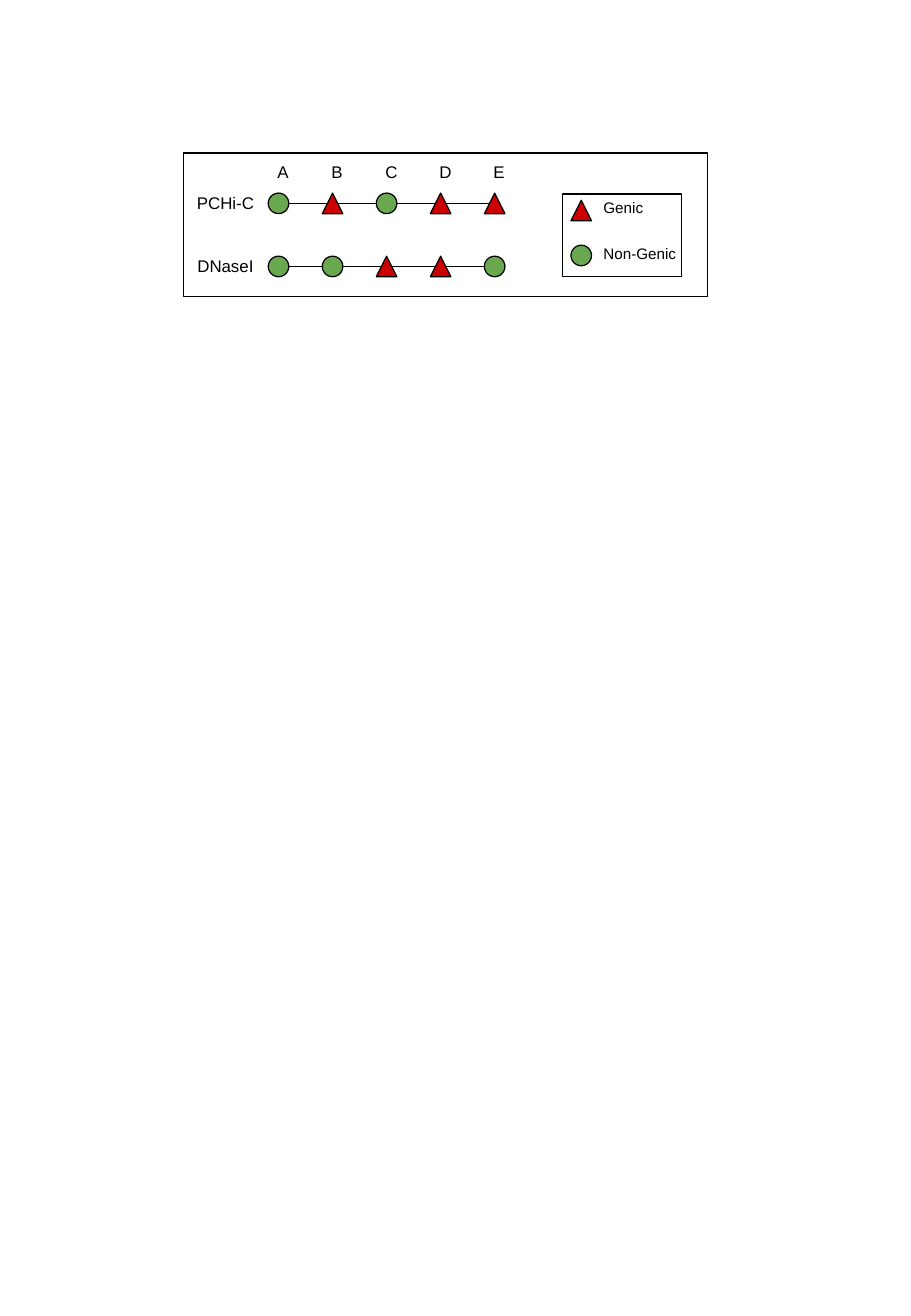
import dataclasses
import itertools

import pptx
import pptx.dml.color
import pptx.enum.shapes
import pptx.enum.text
import pptx.oxml
import pptx.shapes.autoshape
import pptx.slide
import pptx.util

Cm = pptx.util.Cm
Pt = pptx.util.Pt
RGBColor = pptx.dml.color.RGBColor
Preset = pptx.enum.shapes.MSO_SHAPE
Align = pptx.enum.text.PP_ALIGN
Anchor = pptx.enum.text.MSO_ANCHOR

BLACK = RGBColor(0x00, 0x00, 0x00)
RED = RGBColor(0xCC, 0x00, 0x00)
GREEN = RGBColor(0x6A, 0xA8, 0x4F)
LINE_WIDTH = Pt(0.75)

# Grid of fragments, in cm
MARKER_SIZE = 0.43
FIRST_MARKER_LEFT = 5.61
FRAGMENT_STEP = 1.13
LETTER_OFFSET = -0.06


@dataclasses.dataclass(frozen=True)
class Box:
    left: float
    top: float
    width: float
    height: float

    def lengths(self) -> list[pptx.util.Length]:
        return [Cm(value) for value in dataclasses.astuple(self)]


@dataclasses.dataclass(frozen=True)
class MarkerKind:
    preset: Preset
    color: RGBColor
    side_inset: float  # gap between the box and the outline at mid height


@dataclasses.dataclass(frozen=True)
class Track:
    label: str
    top: float
    kinds: list[MarkerKind]


@dataclasses.dataclass(frozen=True)
class LegendEntry:
    label: str
    kind: MarkerKind
    marker_top: float
    text_box: Box


GENIC = MarkerKind(Preset.ISOSCELES_TRIANGLE, RED, MARKER_SIZE / 4)
NON_GENIC = MarkerKind(Preset.OVAL, GREEN, 0)

FRAGMENTS = "ABCDE"
TRACKS = [
    Track("PCHi-C", 4.04, [NON_GENIC, GENIC, NON_GENIC, GENIC, GENIC]),
    Track("DNaseI", 5.36, [NON_GENIC, NON_GENIC, GENIC, GENIC, NON_GENIC]),
]
LEGEND_MARKER_LEFT = 11.94
LEGEND = [
    LegendEntry("Genic", GENIC, 4.19, Box(12.37, 3.96, 1.75, 0.71)),
    LegendEntry("Non-Genic", NON_GENIC, 5.13, Box(12.37, 4.93, 2.11, 0.71)),
]

FRAME_FORMAT = {
    "word_wrap": True,
    "margin_left": Cm(0.25),
    "margin_top": Cm(0.25),
    "margin_right": Cm(0.25),
    "margin_bottom": Cm(0.25),
}


def add_outlined(slide: pptx.slide.Slide, preset: Preset,
                 box: Box) -> pptx.shapes.autoshape.Shape:
    outlined = slide.shapes.add_shape(preset, *box.lengths())
    outlined.shadow.inherit = False
    outlined.fill.background()
    outlined.line.color.rgb = BLACK
    outlined.line.width = LINE_WIDTH
    return outlined


def add_marker(slide: pptx.slide.Slide, kind: MarkerKind, left: float, top: float) -> None:
    marker = add_outlined(slide, kind.preset, Box(left, top, MARKER_SIZE, MARKER_SIZE))
    marker.fill.solid()
    marker.fill.fore_color.rgb = kind.color


def add_link(slide: pptx.slide.Slide, start: float, end: float, height: float) -> None:
    link = slide.shapes.add_connector(
        pptx.enum.shapes.MSO_CONNECTOR.STRAIGHT,
        Cm(start), Cm(height), Cm(end), Cm(height))
    link.line.color.rgb = BLACK
    link.line.width = LINE_WIDTH
    link._element.spPr.append(pptx.oxml.parse_xml(
        '<a:effectLst xmlns:a="http://schemas.openxmlformats.org/drawingml/2006/main"/>'))


def add_label(slide: pptx.slide.Slide, text: str, box: Box, size: float,
              align: Align = Align.CENTER, anchor: Anchor = Anchor.MIDDLE) -> None:
    frame = slide.shapes.add_textbox(*box.lengths()).text_frame
    for name, value in (FRAME_FORMAT | {"vertical_anchor": anchor}).items():
        setattr(frame, name, value)
    paragraph = frame.paragraphs[0]
    paragraph.alignment = align
    run = paragraph.add_run()
    run.text = text
    for name, value in {"name": "Arial", "size": Pt(size)}.items():
        setattr(run.font, name, value)
    run.font.color.rgb = BLACK


def add_track(slide: pptx.slide.Slide, track: Track) -> None:
    add_label(slide, track.label, Box(3.84, track.top - 0.08, 1.75, 0.56), 10)
    placed = [(FIRST_MARKER_LEFT + i * FRAGMENT_STEP, kind)
              for i, kind in enumerate(track.kinds)]
    for left, kind in placed:
        add_marker(slide, kind, left, track.top)
    for (left, kind), (next_left, next_kind) in itertools.pairwise(placed):
        add_link(slide, left + MARKER_SIZE - kind.side_inset,
                 next_left + next_kind.side_inset, track.top + MARKER_SIZE / 2)


def main() -> None:
    deck = pptx.Presentation()
    deck.slide_width, deck.slide_height = Cm(19.05), Cm(27.53)
    slide = deck.slides.add_slide(deck.slide_layouts[6])

    # Outer frame and legend frame
    for box in (Box(3.84, 3.2, 10.95, 3), Box(11.76, 4.06, 2.49, 1.73)):
        add_outlined(slide, Preset.RECTANGLE, box)

    # Fragment letters
    for i, letter in enumerate(FRAGMENTS):
        left = FIRST_MARKER_LEFT + LETTER_OFFSET + i * FRAGMENT_STEP
        add_label(slide, letter, Box(left, 3.38, 0.53, 0.43), 10)

    # Tracks
    for track in TRACKS:
        add_track(slide, track)

    # Legend
    for entry in LEGEND:
        add_marker(slide, entry.kind, LEGEND_MARKER_LEFT, entry.marker_top)
        add_label(slide, entry.label, entry.text_box, 9, Align.LEFT, Anchor.TOP)

    deck.save("out.pptx")


if __name__ == "__main__":
    main()
